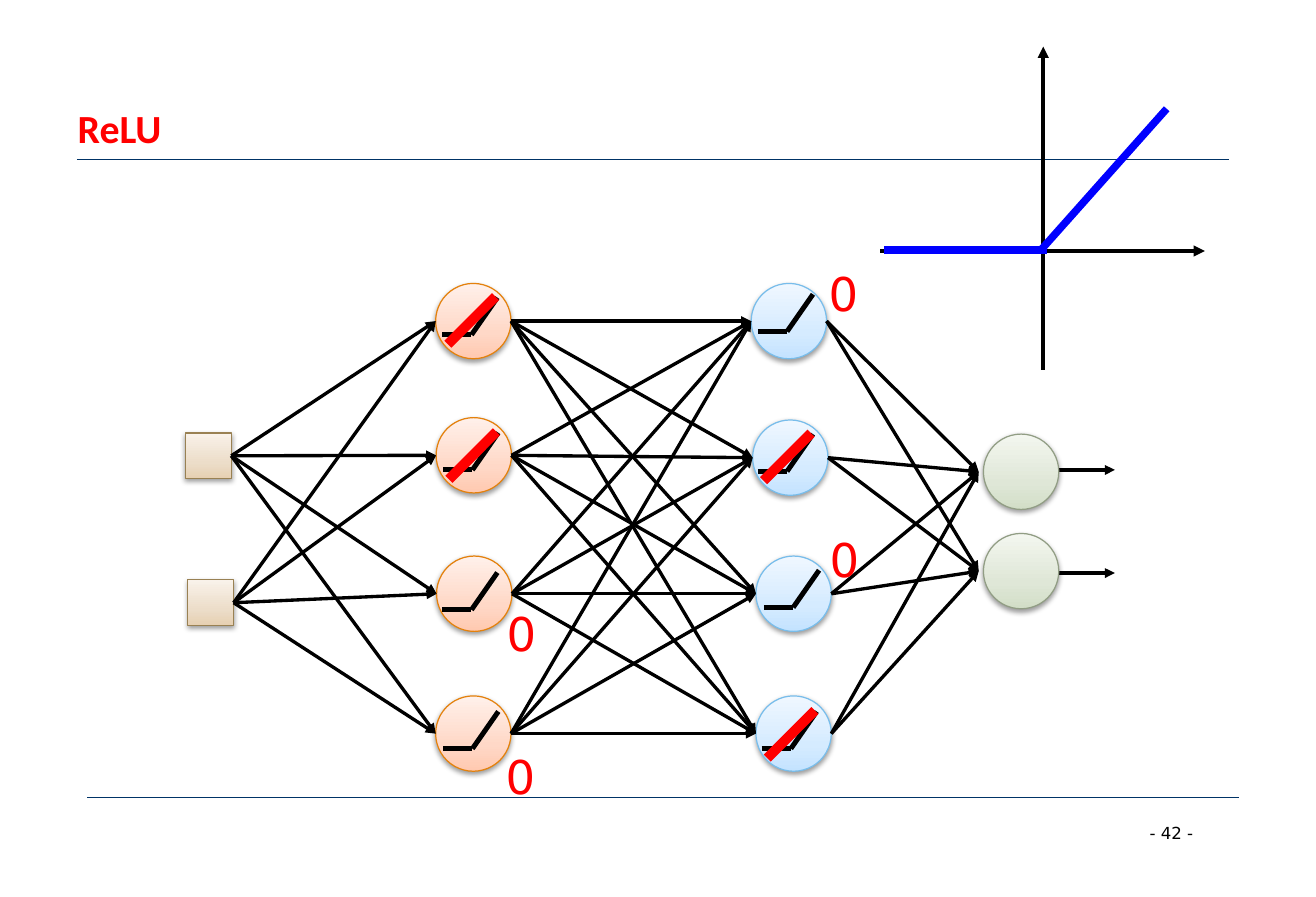
"""Build a slide showing active and inactive ReLU neurons in a small network."""
from dataclasses import dataclass
from itertools import product

from lxml.etree import SubElement
from pptx import Presentation
from pptx.dml.color import RGBColor
from pptx.enum.shapes import MSO_CONNECTOR, MSO_SHAPE
from pptx.enum.text import MSO_ANCHOR, PP_ALIGN
from pptx.oxml import parse_xml
from pptx.oxml.ns import nsdecls, qn
from pptx.slide import Slide
from pptx.util import Cm, Pt

BLACK = RGBColor(0x00, 0x00, 0x00)
RED = RGBColor(0xFF, 0x00, 0x00)
BLUE = RGBColor(0x00, 0x00, 0xFF)
NAVY = RGBColor(0x00, 0x33, 0x66)

Point = tuple[float, float]


@dataclass(frozen=True)
class Style:
    preset: MSO_SHAPE
    size: float
    border: RGBColor
    bottom: RGBColor
    middle: RGBColor
    top: RGBColor


@dataclass(frozen=True)
class Node:
    left: float
    middle: float
    style: Style
    corner: Point | None = None
    active: bool = False

    @property
    def inlet(self) -> Point:
        gap = 0 if self.corner else 0.1
        return self.left - gap, self.middle

    @property
    def outlet(self) -> Point:
        return self.left + self.style.size, self.middle


@dataclass(frozen=True)
class Label:
    text: str
    left: float
    top: float
    width: float
    height: float
    size: float
    font: str = "DejaVu Sans"
    color: RGBColor = RED
    bold: bool = False
    wrap: bool = True
    align: PP_ALIGN = PP_ALIGN.LEFT
    anchor: MSO_ANCHOR = MSO_ANCHOR.TOP


INPUT = Style(MSO_SHAPE.RECTANGLE, 0.97, RGBColor(0x99, 0x81, 0x53),
              RGBColor(0xE6, 0xD0, 0xB2), RGBColor(0xEC, 0xDD, 0xC9), RGBColor(0xF9, 0xF2, 0xEA))
ORANGE = Style(MSO_SHAPE.OVAL, 1.6, RGBColor(0xE4, 0x81, 0x0C),
               RGBColor(0xFF, 0xC9, 0xB0), RGBColor(0xFF, 0xD8, 0xC7), RGBColor(0xFF, 0xF0, 0xEA))
SKY = Style(MSO_SHAPE.OVAL, 1.6, RGBColor(0x78, 0xBD, 0xEB),
            RGBColor(0xC4, 0xE3, 0xFF), RGBColor(0xD5, 0xEB, 0xFF), RGBColor(0xEF, 0xF7, 0xFF))
GREEN = Style(MSO_SHAPE.OVAL, 1.6, RGBColor(0x91, 0x9D, 0x84),
              RGBColor(0xD2, 0xDE, 0xC7), RGBColor(0xDF, 0xE7, 0xD7), RGBColor(0xF3, 0xF6, 0xEF))

LAYERS = [
    [Node(3.94, 9.68, INPUT), Node(3.99, 12.8, INPUT)],
    [
        Node(9.25, 6.82, ORANGE, (10.01, 7.11), True),
        Node(9.26, 9.67, ORANGE, (10.03, 9.98), True),
        Node(9.27, 12.61, ORANGE, (10.01, 12.95)),
        Node(9.25, 15.58, ORANGE, (10.03, 15.9)),
    ],
    [
        Node(15.95, 6.82, SKY, (16.71, 7.04)),
        Node(15.98, 9.72, SKY, (16.71, 10.01), True),
        Node(16.05, 12.61, SKY, (16.84, 12.9)),
        Node(16.05, 15.58, SKY, (16.79, 15.9), True),
    ],
    [Node(20.88, 10.02, GREEN), Node(20.88, 12.13, GREEN)],
]
ZEROS = [(10.36, 12.73), (10.34, 15.77), (17.2, 5.51), (17.22, 11.15)]
TITLE = Label("ReLU", 1.4, 2.11, 19.56, 1.22, 24, "Calibri", bold=True, anchor=MSO_ANCHOR.MIDDLE)
PAGE_NUMBER = Label("- 42 -", 24.16, 17.35, 1.7, 0.69, 10, color=BLACK, wrap=False)


def add_line(slide: Slide, start: Point, end: Point, width: float,
             color: RGBColor = BLACK, arrow: bool = False) -> None:
    ends = [Cm(value) for value in (*start, *end)]
    connector = slide.shapes.add_connector(MSO_CONNECTOR.STRAIGHT, *ends)
    connector.line.color.rgb = color
    connector.line.width = Pt(width)
    properties = connector._element.spPr
    if arrow:
        SubElement(properties.find(qn("a:ln")), qn("a:tailEnd"), type="triangle")
    SubElement(properties, qn("a:effectLst"))


def add_node(slide: Slide, node: Node) -> None:
    style = node.style
    size = Cm(style.size)
    shape = slide.shapes.add_shape(
        style.preset, Cm(node.left), Cm(node.middle - style.size / 2), size, size)
    shape.line.color.rgb = style.border
    shape.line.width = Pt(0.75)
    stops = "".join(
        f'<a:gs pos="{position}"><a:srgbClr val="{color}"/></a:gs>'
        for position, color in ((0, style.bottom), (35000, style.middle), (100000, style.top)))
    properties = shape._element.spPr
    properties.find(qn("a:prstGeom")).addnext(parse_xml(
        f'<a:gradFill {nsdecls("a")} rotWithShape="1"><a:gsLst>{stops}</a:gsLst>'
        '<a:lin ang="16200000" scaled="0"/></a:gradFill>'))
    properties.append(parse_xml(
        f'<a:effectLst {nsdecls("a")}><a:outerShdw blurRad="40000" dist="20000" dir="5400000" '
        f'rotWithShape="0"><a:srgbClr val="{BLACK}"><a:alpha val="38000"/></a:srgbClr>'
        '</a:outerShdw></a:effectLst>'))


def add_relu(slide: Slide, corner: Point) -> None:
    x, y = corner
    add_line(slide, (x - 0.62, y), corner, 3)
    add_line(slide, corner, (x + 0.55, y - 0.79), 3)


def add_slash(slide: Slide, corner: Point) -> None:
    x, y = corner
    add_line(slide, (x + 0.51, y - 0.81), (x - 0.5, y + 0.2), 6, RED)


def add_label(slide: Slide, label: Label) -> None:
    box = slide.shapes.add_textbox(
        Cm(label.left), Cm(label.top), Cm(label.width), Cm(label.height))
    text_frame = box.text_frame
    text_frame.text = label.text
    text_frame.word_wrap = label.wrap
    text_frame.vertical_anchor = label.anchor
    paragraph = text_frame.paragraphs[0]
    paragraph.alignment = label.align
    font = paragraph.runs[0].font
    font.name = label.font
    font.size = Pt(label.size)
    font.bold = label.bold
    font.color.rgb = label.color


def add_plot(slide: Slide) -> None:
    add_line(slide, (18.69, 5.33), (25.58, 5.33), 2.25, arrow=True)
    add_line(slide, (22.15, 7.85), (22.15, 0.99), 2.25, arrow=True)
    add_line(slide, (18.77, 5.31), (22.22, 5.31), 4.5, BLUE)
    add_line(slide, (22.1, 5.31), (24.77, 2.31), 4.5, BLUE)


def main() -> None:
    presentation = Presentation()
    presentation.slide_width, presentation.slide_height = Cm(27.94), Cm(19.05)
    slide = presentation.slides.add_slide(presentation.slide_layouts[6])

    for left, y in ((1.63, 3.38), (1.85, 16.94)):
        add_line(slide, (left, y), (left + 24.46, y), 0.75, NAVY)
    add_label(slide, PAGE_NUMBER)
    add_label(slide, TITLE)
    for y in (9.98, 12.17):
        add_line(slide, (21.7, y), (23.67, y), 2, arrow=True)

    nodes = [node for layer in LAYERS for node in layer]
    for node in nodes:
        add_node(slide, node)
    for sources, targets in zip(LAYERS, LAYERS[1:]):
        for source, target in product(sources, targets):
            add_line(slide, source.outlet, target.inlet, 2, arrow=True)
    for node in nodes:
        if node.corner:
            add_relu(slide, node.corner)
    for left, top in ZEROS:
        add_label(slide, Label("0", left, top, 1.42, 1.45, 28, align=PP_ALIGN.CENTER))
    add_plot(slide)
    for node in nodes:
        if node.active:
            add_slash(slide, node.corner)
    presentation.save("out.pptx")


if __name__ == "__main__":
    main()
